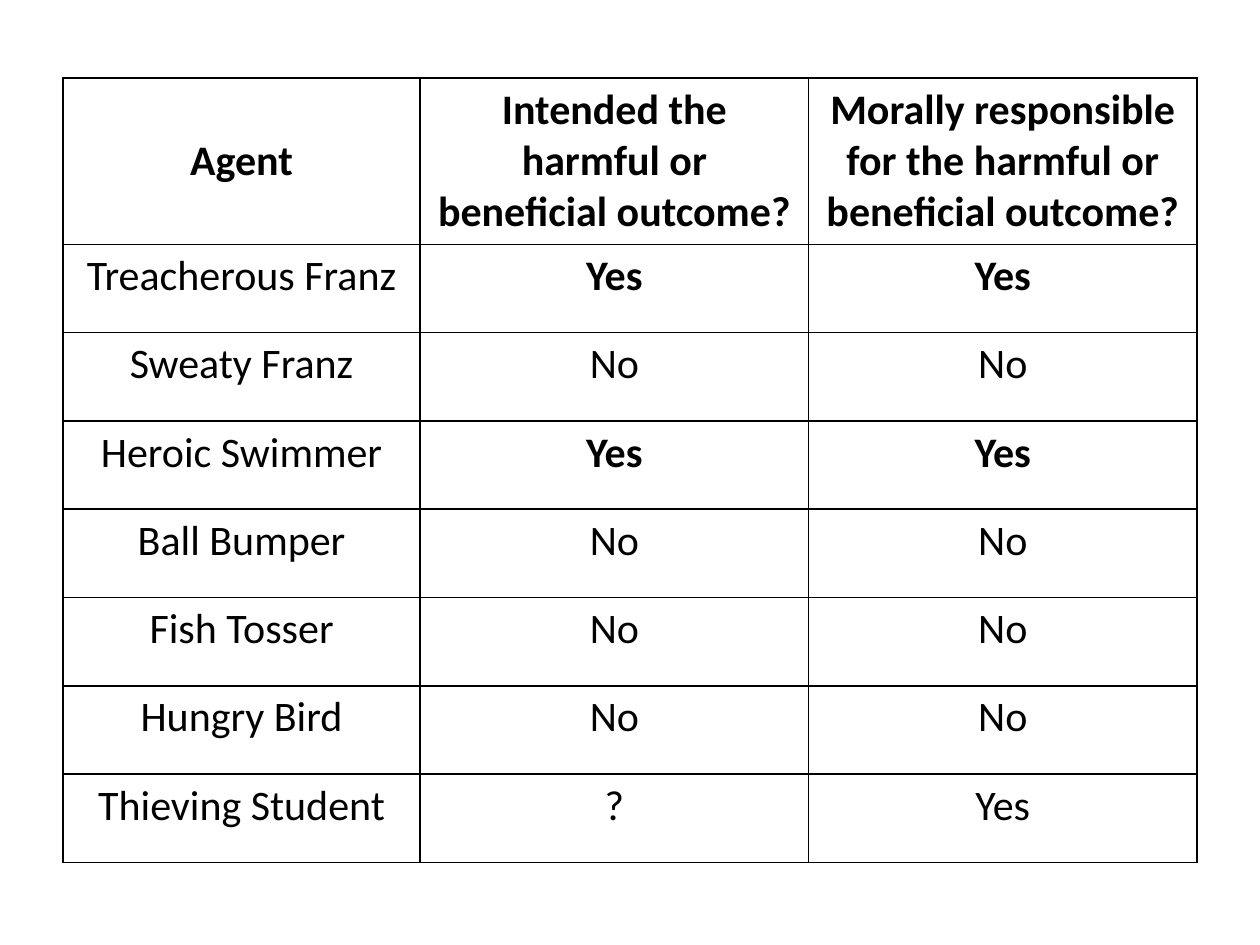
"""Build a slide with a table of agents, intentions and moral responsibility."""
from typing import NamedTuple

from lxml.etree import SubElement
from pptx import Presentation
from pptx.dml.color import RGBColor
from pptx.enum.text import MSO_ANCHOR as Anchor, PP_ALIGN as Align
from pptx.oxml.ns import qn
from pptx.table import _Cell as Cell
from pptx.util import Cm, Pt

COLORS = {"ink": "000000"}
FONT = "Calibri"
COLUMN_WIDTHS = (7.2, 7.83, 7.83)
HEADER_HEIGHT, ROW_HEIGHT = 3.35, 1.78


class Verdict(NamedTuple):
    """One row of the table."""

    agent: str
    intended: str
    responsible: str
    strong: bool = False


HEADER = Verdict(
    "Agent",
    "Intended the harmful or beneficial outcome?",
    "Morally responsible for the harmful or beneficial outcome?",
)
VERDICTS = (
    Verdict("Treacherous Franz", "Yes", "Yes", strong=True),
    Verdict("Sweaty Franz", "No", "No"),
    Verdict("Heroic Swimmer", "Yes", "Yes", strong=True),
    Verdict("Ball Bumper", "No", "No"),
    Verdict("Fish Tosser", "No", "No"),
    Verdict("Hungry Bird", "No", "No"),
    Verdict("Thieving Student", "?", "Yes"),
)


def add_borders(cell: Cell) -> None:
    """Draw a thin line on all four sides of a cell."""
    properties = cell._tc.get_or_add_tcPr()
    for side in ("lnL", "lnR", "lnT", "lnB"):
        line = SubElement(properties, qn(f"a:{side}"), w=str(Pt(1)))
        fill = SubElement(line, qn("a:solidFill"))
        SubElement(fill, qn("a:srgbClr"), val=COLORS["ink"])


def fill_cell(cell: Cell, text: str, bold: bool, anchor: Anchor) -> None:
    """Write centred text into a bordered cell without a fill."""
    add_borders(cell)
    cell.fill.background()
    cell.vertical_anchor = anchor
    para = cell.text_frame.paragraphs[0]
    para.text = text
    para.alignment = Align.CENTER
    para.font.name = FONT
    para.font.size = Pt(24)
    para.font.bold = bold
    para.font.color.rgb = RGBColor.from_string(COLORS["ink"])


def main() -> None:
    """Build and save the deck."""
    deck = Presentation()
    deck.slide_width, deck.slide_height = Cm(25.4), Cm(19.05)
    page = deck.slides.add_slide(deck.slide_layouts[6])
    rows = (HEADER, *VERDICTS)
    height = HEADER_HEIGHT + ROW_HEIGHT * len(VERDICTS)
    table = page.shapes.add_table(
        len(rows), len(COLUMN_WIDTHS),
        Cm(1.27), Cm(1.57), Cm(sum(COLUMN_WIDTHS)), Cm(height),
    ).table
    table.horz_banding = False
    for column, width in zip(table.columns, COLUMN_WIDTHS):
        column.width = Cm(width)
    for index, verdict in enumerate(rows):
        is_header = index == 0
        table.rows[index].height = Cm(HEADER_HEIGHT if is_header else ROW_HEIGHT)
        anchor = Anchor.MIDDLE if is_header else Anchor.TOP
        for position, text in enumerate(verdict[:3]):
            bold = is_header or (verdict.strong and position > 0)
            fill_cell(table.cell(index, position), text, bold, anchor)
    deck.save("out.pptx")


if __name__ == "__main__":
    main()
